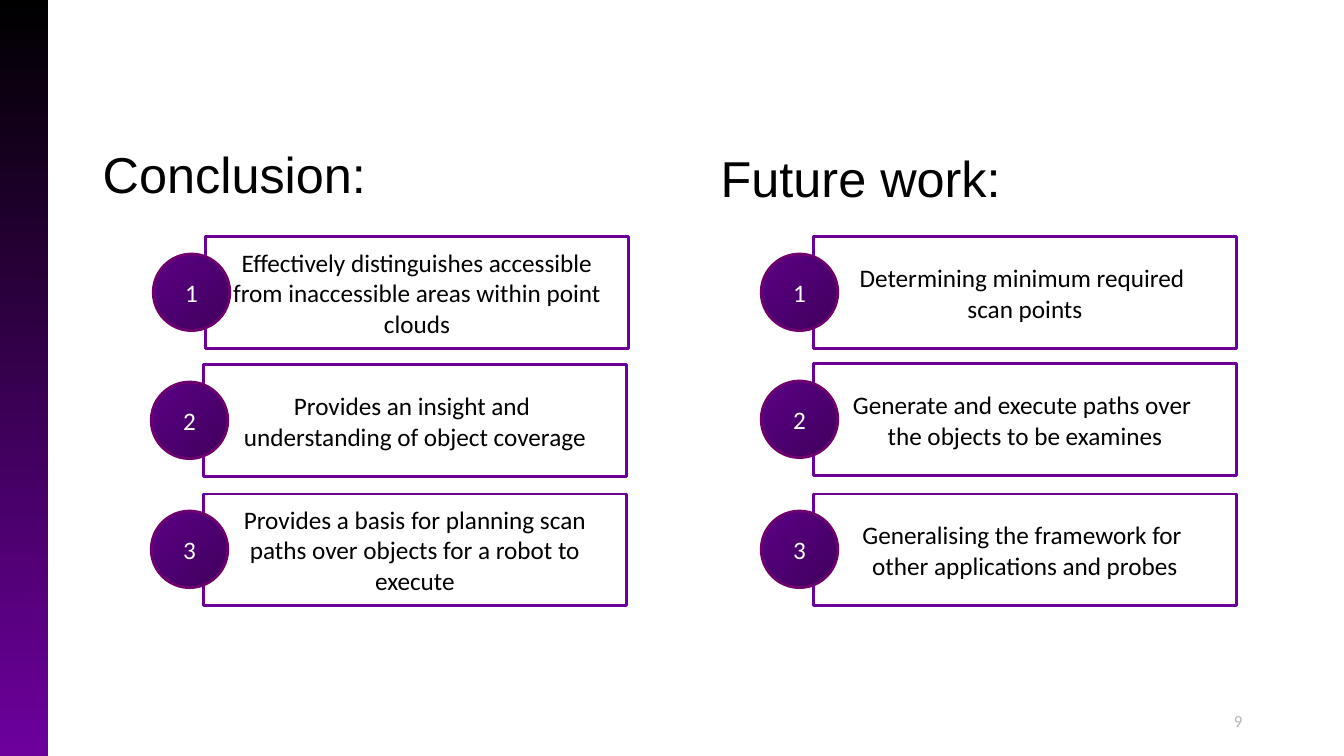
"""Build the slide that sets conclusions beside future work."""
from dataclasses import dataclass

from pptx import Presentation
from pptx.dml.color import RGBColor
from pptx.enum.shapes import MSO_SHAPE
from pptx.enum.text import MSO_ANCHOR, PP_ALIGN
from pptx.shapes.autoshape import Shape
from pptx.shapes.shapetree import SlideShapes
from pptx.util import Inches, Pt

COLORS = {
    "black": "000000",
    "white": "FFFFFF",
    "purple": "6D009D",
    "badge_dark": "40005D",
    "badge_light": "5B0084",
    "badge_edge": "6E006E",
    "page_number": "B4B4B4",
}
BOX_WIDTH, BOX_HEIGHT = 4.19, 1.11
BADGE_SIZE = 0.76
BADGE_OFFSET_X = -0.52
BADGE_OFFSET_Y = 0.17


@dataclass(frozen=True)
class Item:
    left: float
    top: float
    number: int
    text: str


@dataclass(frozen=True)
class Heading:
    left: float
    top: float
    text: str


HEADINGS = [Heading(0.92, 1.03, "Conclusion:"), Heading(7.05, 1.07, "Future work:")]
ITEMS = [
    Item(2.04, 2.35, 1, "Effectively distinguishes accessible from inaccessible areas within point clouds"),
    Item(2.02, 3.62, 2, "Provides an insight and \nunderstanding of object coverage"),
    Item(2.02, 4.9, 3, "Provides a basis for planning scan paths over objects for a robot to execute"),
    Item(8.07, 2.35, 1, "Determining minimum required \nscan points"),
    Item(8.07, 3.61, 2, "Generate and execute paths over \nthe objects to be examines"),
    Item(8.07, 4.9, 3, "Generalising the framework for \nother applications and probes"),
]


def color(name: str) -> RGBColor:
    return RGBColor.from_string(COLORS[name])


def write_text(shape: Shape, text: str, *, size: float = 18, font: str = "Calibri",
               ink: str = "black", align: PP_ALIGN = PP_ALIGN.CENTER,
               line_spacing: float = 1.0) -> None:
    frame = shape.text_frame
    frame.word_wrap = True
    frame.vertical_anchor = MSO_ANCHOR.MIDDLE
    frame.text = text
    for paragraph in frame.paragraphs:
        paragraph.alignment = align
        paragraph.line_spacing = line_spacing
        for run in paragraph.runs:
            run.font.size = Pt(size)
            run.font.name = font
            run.font.color.rgb = color(ink)


def fill_gradient(shape: Shape, start: str, end: str, angle: float) -> None:
    shape.fill.gradient()
    shape.fill.gradient_angle = angle
    for stop, name in zip(shape.fill.gradient_stops, (start, end)):
        stop.color.rgb = color(name)


def set_outline(shape: Shape, name: str) -> None:
    shape.line.color.rgb = color(name)
    shape.line.width = Pt(2)


def draw_side_bar(shapes: SlideShapes) -> None:
    bar = shapes.add_shape(MSO_SHAPE.RECTANGLE, 0, 0, Inches(0.48), Inches(7.5))
    bar.shadow.inherit = False
    fill_gradient(bar, "black", "purple", 270)
    bar.line.fill.background()


def draw_heading(shapes: SlideShapes, heading: Heading) -> None:
    box = shapes.add_textbox(Inches(heading.left), Inches(heading.top), Inches(4.74), Inches(1.45))
    write_text(box, heading.text, size=36, font="Arial", align=PP_ALIGN.LEFT, line_spacing=0.9)


def draw_item(shapes: SlideShapes, item: Item) -> None:
    group = shapes.add_group_shape()
    box = group.shapes.add_shape(
        MSO_SHAPE.RECTANGLE, Inches(item.left), Inches(item.top),
        Inches(BOX_WIDTH), Inches(BOX_HEIGHT))
    box.shadow.inherit = False
    box.fill.solid()
    box.fill.fore_color.rgb = color("white")
    set_outline(box, "purple")
    write_text(box, item.text)

    badge = group.shapes.add_shape(
        MSO_SHAPE.OVAL, Inches(item.left + BADGE_OFFSET_X), Inches(item.top + BADGE_OFFSET_Y),
        Inches(BADGE_SIZE), Inches(BADGE_SIZE))
    badge.shadow.inherit = False
    fill_gradient(badge, "badge_dark", "badge_light", 135)
    set_outline(badge, "badge_edge")
    write_text(badge, str(item.number), ink="white")


def main() -> None:
    presentation = Presentation()
    presentation.slide_width = Inches(13.33)
    presentation.slide_height = Inches(7.5)
    slide = presentation.slides.add_slide(presentation.slide_layouts[6])

    draw_side_bar(slide.shapes)
    for heading in HEADINGS:
        draw_heading(slide.shapes, heading)
    for item in ITEMS:
        draw_item(slide.shapes, item)
    page_number = slide.shapes.add_textbox(Inches(9.42), Inches(6.95), Inches(3), Inches(0.4))
    write_text(page_number, "9", size=12, ink="page_number", align=PP_ALIGN.RIGHT)

    presentation.save("out.pptx")


if __name__ == "__main__":
    main()
